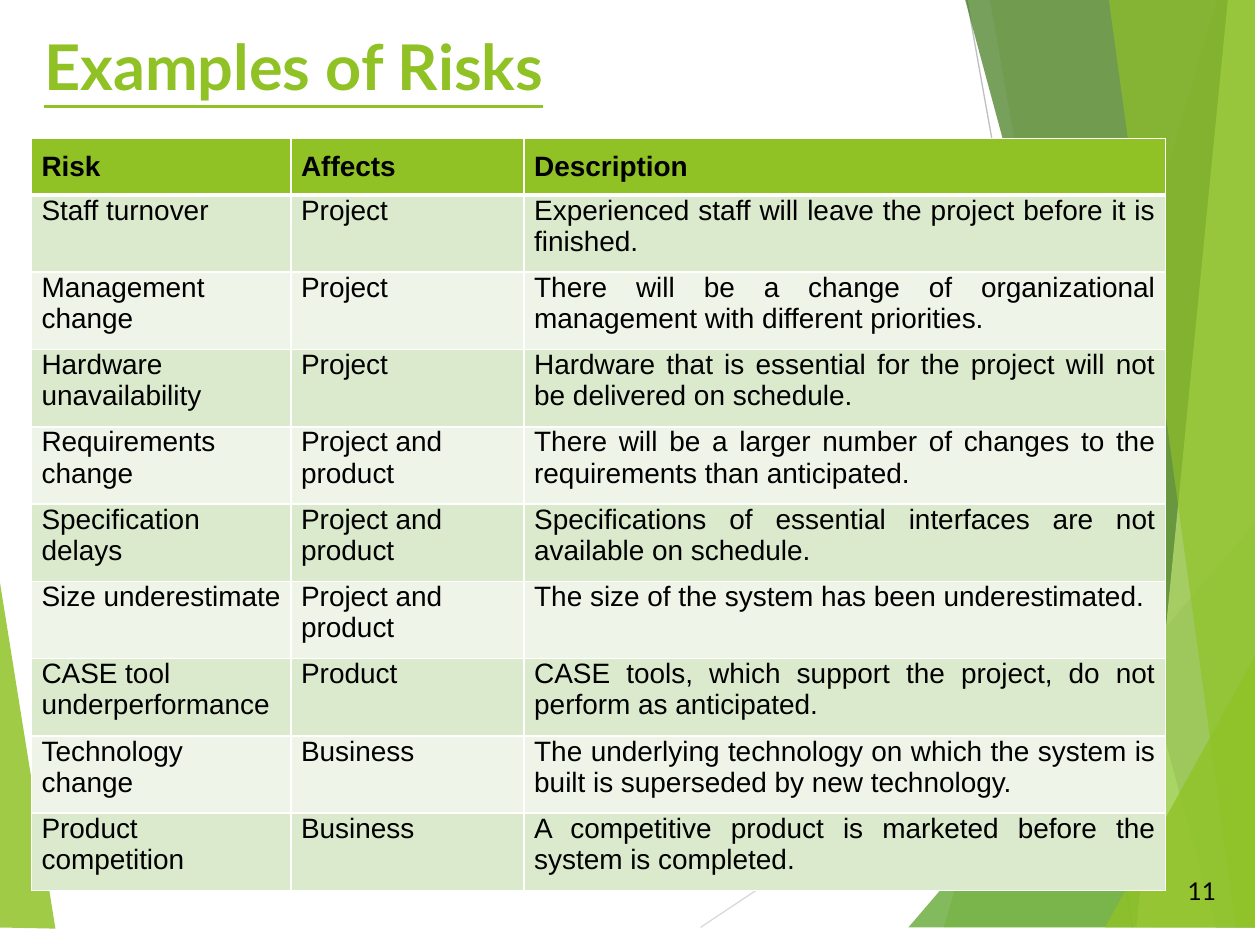
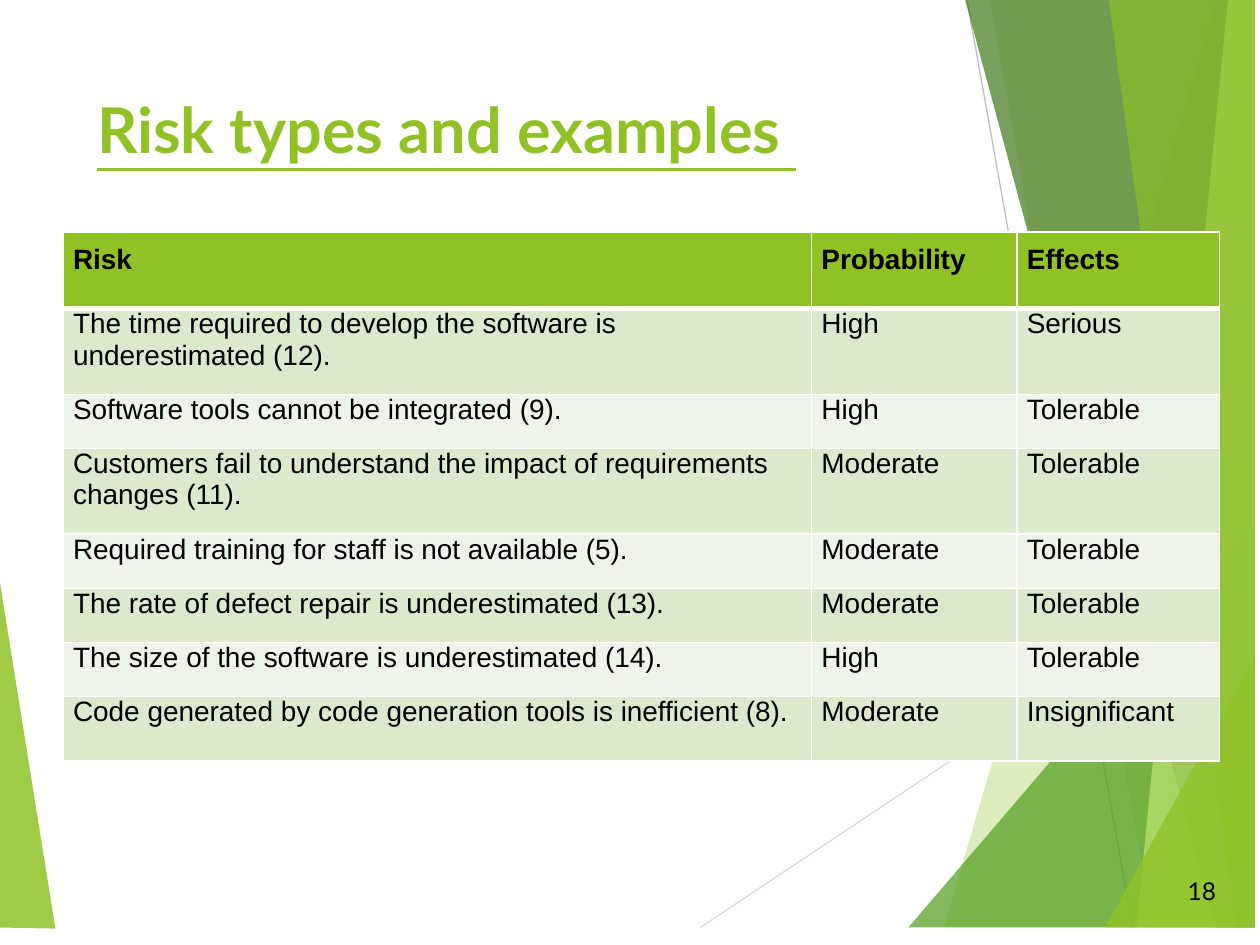
from lxml import etree
from pptx import Presentation
from pptx import util as u
from pptx.dml.color import RGBColor
from pptx.enum import shapes, text
from pptx.oxml import ns

GREEN, LEAF, FOREST, LIME = "90C226", "54A021", "3F7819", "C0E474"
WHITE, BLACK = "FFFFFF", "000000"
ROW_FILLS = ["DBE9CD", "EEF4E8"]
TITLE_FONT, TABLE_FONT = "Lato", "Arial"
TOP, BOTTOM, RIGHT = -0.15, 7.36, 9.96

LEFT_BLADE = (GREEN, 85, [(-0.06, 4.25), (0.44, 7.37), (-0.06, BOTTOM)])
THIN_LINES = [("D9D9D9", 5.56, BOTTOM, RIGHT, 4.43), ("BFBFBF", 7.65, -0.14, 8.99, BOTTOM)]
RIGHT_BLADES = [
    (GREEN, 30, [(9.7, TOP), (7.49, BOTTOM), (RIGHT, BOTTOM), (RIGHT, TOP)]),
    (GREEN, 20, [(7.83, TOP), (9.15, BOTTOM), (RIGHT, BOTTOM), (RIGHT, TOP)]),
    (LEAF, 72, [(7.21, BOTTOM), (RIGHT, 4.15), (RIGHT, BOTTOM)]),
    (FOREST, 70, [(7.62, TOP), (9.65, BOTTOM), (RIGHT, BOTTOM), (RIGHT, TOP)]),
    (LIME, 70, [(9.76, TOP), (9.02, BOTTOM), (RIGHT, BOTTOM), (RIGHT, TOP)]),
    (GREEN, 65, [(8.78, TOP), (9.81, BOTTOM), (RIGHT, BOTTOM), (RIGHT, TOP)]),
    (GREEN, 80, [(8.77, BOTTOM), (RIGHT, 5.21), (RIGHT, BOTTOM)]),
]

RISKS = [
    ("Risk", "Affects", "Description"),
    ("Staff turnover", "Project",
     "Experienced staff will leave the project before it is finished."),
    ("Management change", "Project",
     "There will be a change of organizational management with different priorities."),
    ("Hardware unavailability", "Project",
     "Hardware that is essential for the project will not be delivered on schedule."),
    ("Requirements change", "Project and product",
     "There will be a larger number of changes to the requirements than anticipated."),
    ("Specification delays", "Project and product",
     "Specifications of essential interfaces are not available on schedule."),
    ("Size underestimate", "Project and product",
     "The size of the system has been underestimated."),
    ("CASE tool underperformance", "Product",
     "CASE tools, which support the project, do not perform as anticipated."),
    ("Technology change", "Business",
     "The underlying technology on which the system is built is superseded by new technology."),
    ("Product competition", "Business",
     "A competitive product is marketed before the system is completed."),
]

RATINGS = [
    ("Risk", "Probability", "Effects"),
    ("The time required to develop the software is underestimated (12).", "High", "Serious"),
    ("Software tools cannot be integrated (9).", "High", "Tolerable"),
    ("Customers fail to understand the impact of requirements changes (11).",
     "Moderate", "Tolerable"),
    ("Required training for staff is not available (5).", "Moderate", "Tolerable"),
    ("The rate of defect repair is underestimated (13).", "Moderate", "Tolerable"),
    ("The size of the software is underestimated (14).", "High", "Tolerable"),
    ("Code generated by code generation tools is inefficient (8).", "Moderate", "Insignificant"),
]


def color(value):
    return RGBColor.from_string(value)


def set_font(para, name, size, value, bold=False):
    font = para.font
    font.name, font.size, font.bold = name, u.Pt(size), bold
    font.color.rgb = color(value)


def add_blade(page, value, opacity, points):
    corners = [(u.Inches(x), u.Inches(y)) for x, y in points]
    builder = page.shapes.build_freeform(*corners[0])
    builder.add_line_segments(corners[1:], close=True)
    blade = builder.convert_to_shape()
    blade.shadow.inherit = False
    blade.fill.solid()
    blade.fill.fore_color.rgb = color(value)
    blade.line.fill.background()
    tint = blade.element.spPr.find(".//" + ns.qn("a:srgbClr"))
    etree.SubElement(tint, ns.qn("a:alpha"), val=str(opacity * 1000))


def add_thin_line(page, value, *ends):
    line = page.shapes.add_connector(shapes.MSO_CONNECTOR.STRAIGHT, *map(u.Inches, ends))
    line.line.color.rgb = color(value)
    line.line.width = u.Pt(0.75)
    etree.SubElement(line.element.spPr, ns.qn("a:effectLst"))


def add_backdrop(page):
    add_blade(page, *LEFT_BLADE)
    for line in THIN_LINES:
        add_thin_line(page, *line)
    for blade in RIGHT_BLADES:
        add_blade(page, *blade)


def add_title(page, wording, left, top):
    title = page.shapes.title
    title.element.getparent().append(title.element)
    title.left, title.top = u.Inches(left), u.Inches(top)
    title.width, title.height = u.Inches(8.41), u.Inches(1.44)
    frame = title.text_frame
    frame.text = wording
    frame.vertical_anchor = text.MSO_ANCHOR.TOP
    frame.auto_size = text.MSO_AUTO_SIZE.NONE
    para = frame.paragraphs[0]
    para.alignment = text.PP_ALIGN.LEFT
    set_font(para, TITLE_FONT, 36, GREEN, True)
    para.font.underline = True


def add_page_number(page, number):
    box = page.shapes.add_textbox(*map(u.Inches, (9.19, 6.87, 0.56, 0.4)))
    frame = box.text_frame
    frame.word_wrap = True
    frame.vertical_anchor = text.MSO_ANCHOR.MIDDLE
    frame.text = str(number)
    para = frame.paragraphs[0]
    para.alignment = text.PP_ALIGN.RIGHT
    set_font(para, TITLE_FONT, 14, BLACK)


def set_borders(cell, row):
    widths = {"L": 1, "R": 1, "T": 3 if row == 1 else 1, "B": 3 if row == 0 else 1}
    properties = cell._tc.get_or_add_tcPr()
    for place, (side, width) in enumerate(widths.items()):
        edge = etree.Element(ns.qn("a:ln" + side), w=str(u.Pt(width)))
        fill = etree.SubElement(edge, ns.qn("a:solidFill"))
        etree.SubElement(fill, ns.qn("a:srgbClr"), val=WHITE)
        properties.insert(place, edge)


def format_cell(cell, wording, row, justified):
    cell.text = wording
    cell.margin_left = cell.margin_right = cell.margin_bottom = u.Inches(0.08)
    cell.margin_top = u.Inches(0 if row else 0.1)
    para = cell.text_frame.paragraphs[0]
    para.alignment = text.PP_ALIGN.JUSTIFY if justified else text.PP_ALIGN.LEFT
    set_font(para, TABLE_FONT, 16, BLACK, row == 0)
    cell.fill.solid()
    cell.fill.fore_color.rgb = color(ROW_FILLS[(row - 1) % 2] if row else GREEN)
    set_borders(cell, row)


def add_risk_table(page, rows, left, top, widths, heights, justify=False):
    box = map(u.Inches, (left, top, sum(widths), sum(heights)))
    table = page.shapes.add_table(len(rows), len(widths), *box).table
    for column, width in zip(table.columns, widths):
        column.width = u.Inches(width)
    for row, (height, wordings) in enumerate(zip(heights, rows)):
        table.rows[row].height = u.Inches(height)
        for column, wording in enumerate(wordings):
            justified = justify and (row == 0 or column == len(widths) - 1)
            format_cell(table.cell(row, column), wording, row, justified)


def add_page(deck, wording, left, top, number):
    page = deck.slides.add_slide(deck.slide_layouts.get_by_name("Title Only"))
    add_backdrop(page)
    add_title(page, wording, left, top)
    add_page_number(page, number)
    return page


def main():
    deck = Presentation()
    deck.slide_width, deck.slide_height = u.Inches(10), u.Inches(7.5)

    page = add_page(deck, "Examples of Risks", 0.25, 0.17, 11)
    header, body = 0.44, 5.35
    count = len(RISKS) - 1
    add_risk_table(page, RISKS, 0.25, 1.1, [2.06, 1.85, 5.09],
                   [header] + [body / count] * count, justify=True)

    page = add_page(deck, "Risk types and examples ", 0.67, 0.67, 18)
    add_risk_table(page, RATINGS, 0.5, 1.84, [5.94, 1.63, 1.61],
                   [0.61, 0.68, 0.43, 0.68, 0.43, 0.43, 0.43, 0.51])

    deck.save("out.pptx")


if __name__ == "__main__":
    main()
